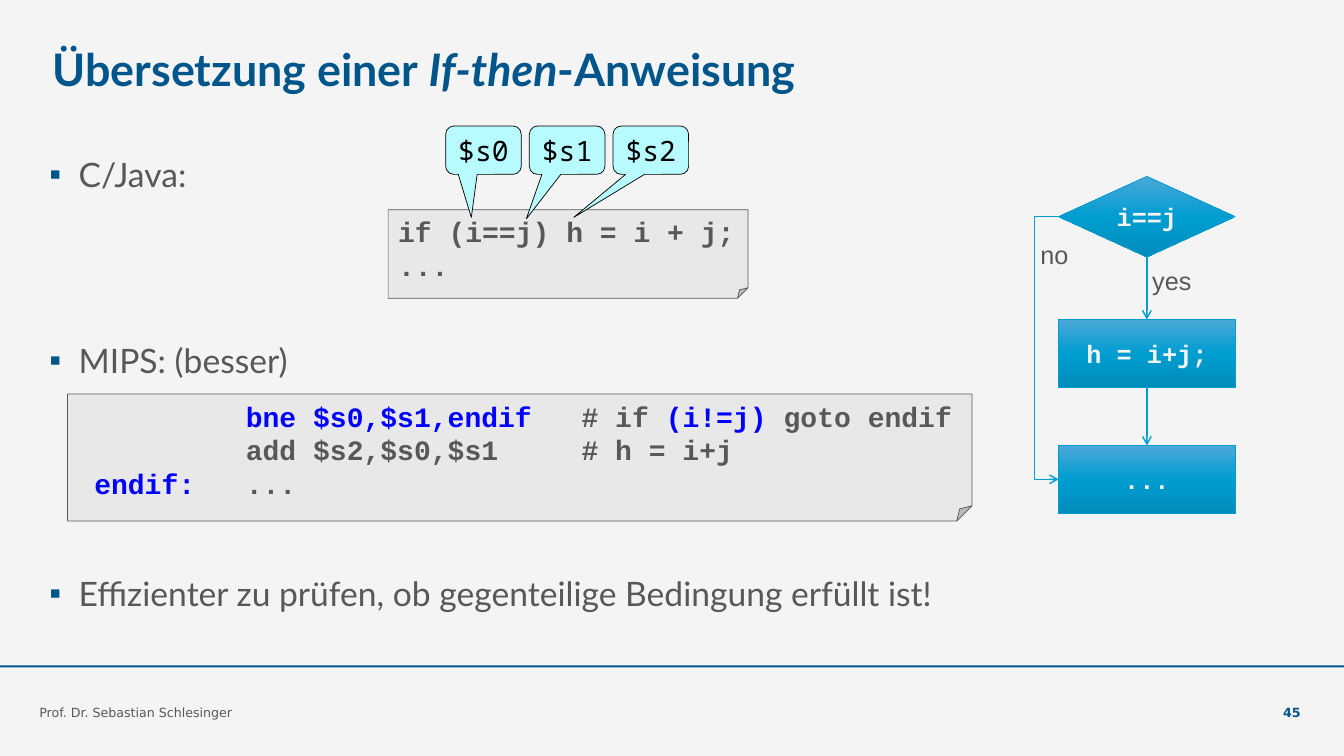
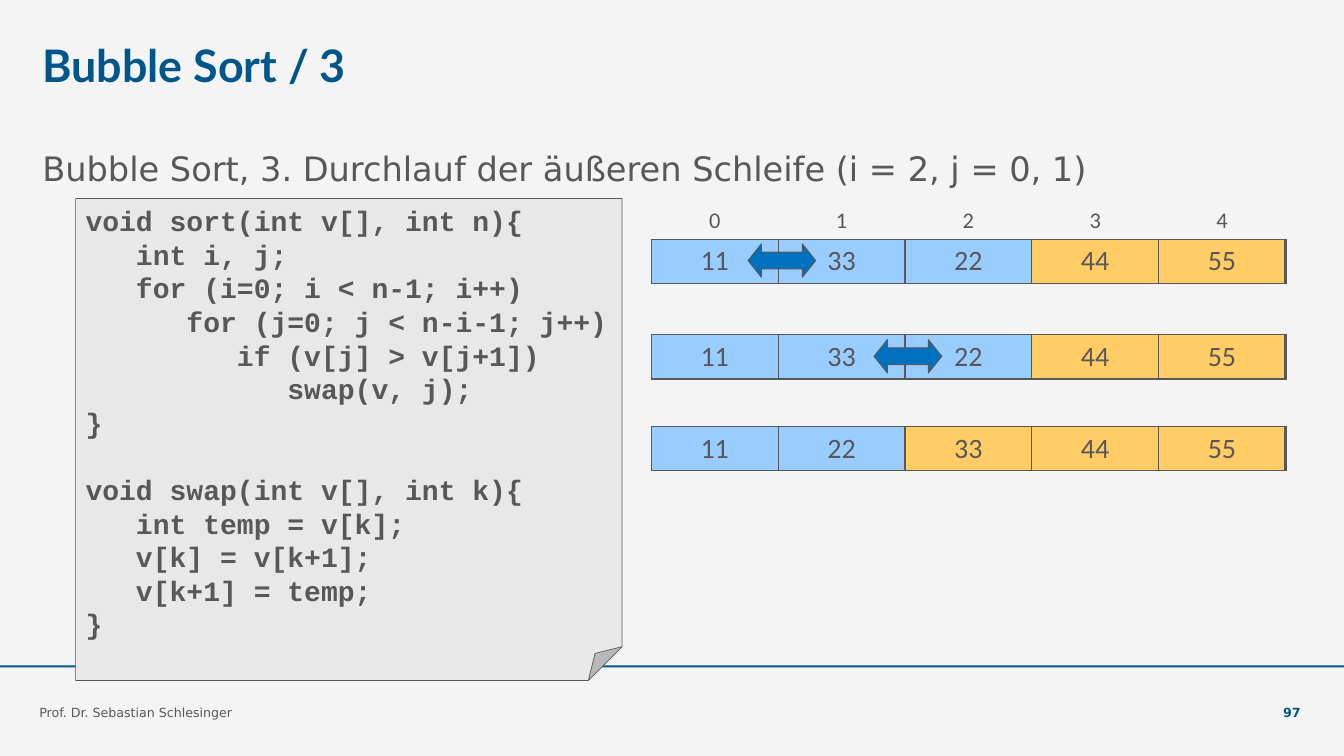
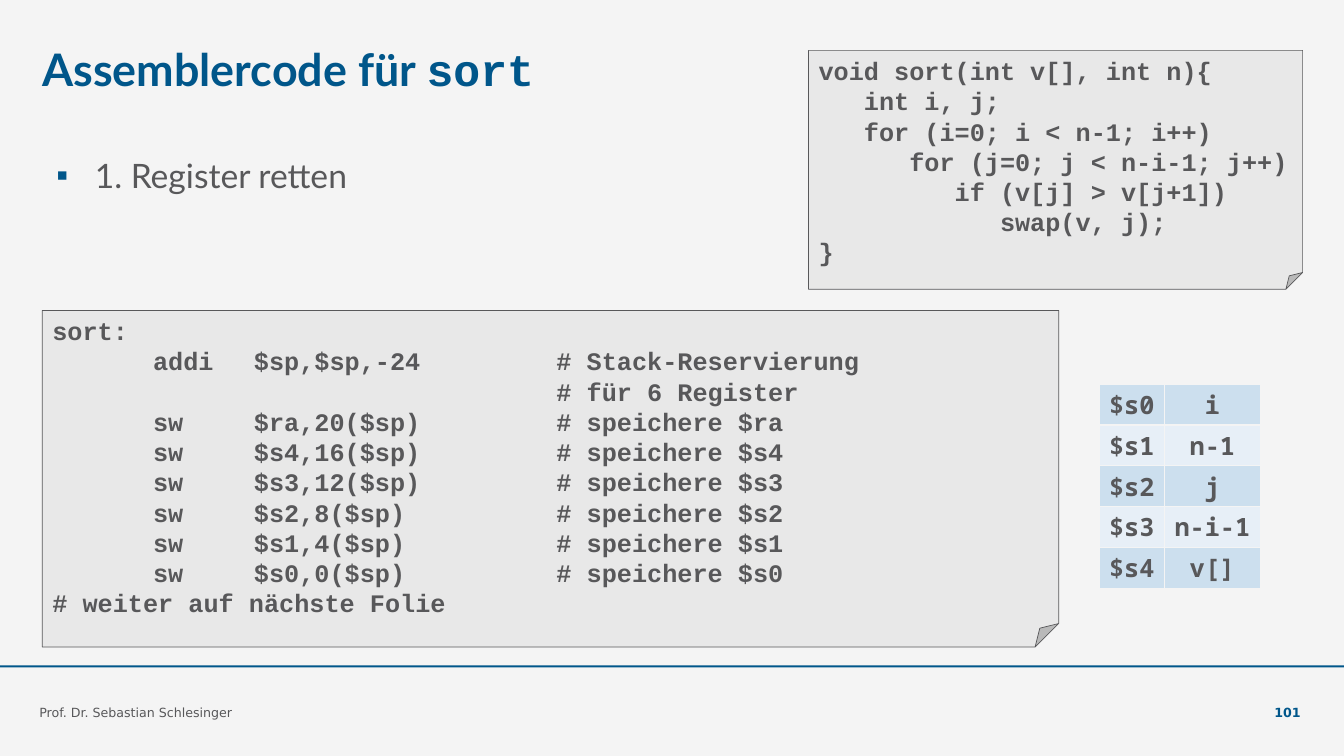
"""Builds three lecture slides on MIPS control flow and sorting."""
from copy import deepcopy

from lxml import etree
from pptx import Presentation
from pptx.dml.color import RGBColor
from pptx.enum.shapes import MSO_CONNECTOR, MSO_SHAPE
from pptx.enum.text import MSO_ANCHOR, MSO_AUTO_SIZE, PP_ALIGN
from pptx.oxml.ns import qn
from pptx.util import Inches, Pt

LEFT, CENTER, RIGHT = PP_ALIGN.LEFT, PP_ALIGN.CENTER, PP_ALIGN.RIGHT
TOP, MIDDLE, BOTTOM = MSO_ANCHOR.TOP, MSO_ANCHOR.MIDDLE, MSO_ANCHOR.BOTTOM
RECT, FOLDED = MSO_SHAPE.RECTANGLE, MSO_SHAPE.FOLDED_CORNER
DECISION, PROCESS = MSO_SHAPE.FLOWCHART_DECISION, MSO_SHAPE.FLOWCHART_PROCESS
CALLOUT, SWAP_ARROW = MSO_SHAPE.ROUNDED_RECTANGULAR_CALLOUT, MSO_SHAPE.LEFT_RIGHT_ARROW
STRAIGHT, NO_AUTOSIZE = MSO_CONNECTOR.STRAIGHT, MSO_AUTO_SIZE.NONE

NAVY, GREY, PAPER, PANEL = "00568A", "58585A", "F4F4F4", "E8E8E8"
CYAN, CODE_BLUE, BALLOON, ARROW_BLUE = "009DD1", "0000FF", "B7FBFF", "0070C0"
OPEN, SORTED = "99CCFF", "FFCC66"
STRIPES = ("CCDFEE", "E7EFF7")
GRADIENT = ((0, "4BA8D8"), (0.5, CYAN), (1, "008CBA"))
HEAD, SANS, MONO, CODE = "Lato", "DejaVu Sans", "Noto Sans Mono", "Courier New"
NO_STYLE = "{2D5ABB26-0587-4C30-8999-92F81FD0307C}"

AUTHOR = "Prof. Dr. Sebastian Schlesinger"
BLUE = {"color": CODE_BLUE}

IF_TITLE = ["Übersetzung einer ", ("If-then", {"italic": True}), "-Anweisung"]
IF_BULLETS = [
    ("C/Java:", 0),
    ("MIPS: (besser)", 3),
    ("Effizienter zu prüfen, ob gegenteilige Bedingung erfüllt ist!", 4),
]
IF_CODE = [["if (i==j) h = i + j;"], ["..."]]
MIPS_CODE = [
    ["\t", ("bne $s0,$s1,endif ", BLUE), "\t# if ", ("(i!=j) ", BLUE), "goto endif"],
    ["\tadd $s2,$s0,$s1\t# h = i+j"],
    [" ", ("endif:", BLUE), "\t..."],
]
CALLOUTS = [("$s0", -0.16, 1.39), ("$s1", -0.54, 1.42), ("$s2", -1.02, 1.39)]
NODES = [
    (DECISION, "i==j", 1.75, 0.8),
    (PROCESS, "h = i+j;", 3.17, 0.67),
    (PROCESS, "...", 4.42, 0.67),
]
BRANCH_LABELS = [("yes", 11.33, 2.58), ("no", 10.22, 2.33)]

SORT_CODE = [[line] for line in (
    "void sort(int v[], int n){",
    "   int i, j;",
    "   for (i=0; i < n-1; i++)",
    "      for (j=0; j < n-i-1; j++)",
    "         if (v[j] > v[j+1])",
    "            swap(v, j);",
    "}",
)]
SWAP_CODE = [[line] for line in (
    "void swap(int v[], int k){",
    "   int temp = v[k];",
    "   v[k] = v[k+1];",
    "   v[k+1] = temp;",
    "}",
)]
BUBBLE_INTRO = "Bubble Sort, 3. Durchlauf der äußeren Schleife (i = 2, j = 0, 1)"
PASSES = [
    (2.0, [11, 33, 22, 44, 55], 3),
    (3.32, [11, 33, 22, 44, 55], 3),
    (4.23, [11, 22, 33, 44, 55], 2),
]
SWAPS = [(7.42, 2.42), (8.67, 3.37)]

SAVED = [("$ra", 20), ("$s4", 16), ("$s3", 12), ("$s2", 8), ("$s1", 4), ("$s0", 0)]
SAVE_CODE = [
    ["sort:"],
    ["\taddi\t$sp,$sp,-24\t# Stack-Reservierung"],
    ["\t\t\t# für 6 Register"],
    *[[f"\tsw\t{reg},{offset}($sp)\t# speichere {reg}"] for reg, offset in SAVED],
    ["# weiter auf nächste Folie"],
]
REGISTERS = [("$s0", "i"), ("$s1", "n-1"), ("$s2", "j"), ("$s3", "n-i-1"), ("$s4", "v[]")]


def rgb(value):
    return RGBColor.from_string(value)


def write(p, runs, font, size, color=GREY, bold=False, align=LEFT):
    p.alignment = align
    for run in runs:
        text, extra = (run, {}) if isinstance(run, str) else run
        r = p.add_run()
        r.text = text
        r.font.name = extra.get("font", font)
        r.font.size = Pt(size)
        r.font.bold = bold
        r.font.italic = extra.get("italic", False)
        r.font.color.rgb = rgb(extra.get("color", color))


def frame(shape, anchor=TOP, inset=(0.1, 0.05)):
    tf = shape.text_frame
    tf.word_wrap = True
    tf.auto_size = NO_AUTOSIZE
    tf.vertical_anchor = anchor
    tf.margin_left = tf.margin_right = Inches(inset[0])
    tf.margin_top = tf.margin_bottom = Inches(inset[1])
    return tf


def place(shape, *box):
    shape.left, shape.top, shape.width, shape.height = map(Inches, box)


def add_text(s, box, text, font, size, anchor=TOP, inset=(0.1, 0.05), **style):
    tf = frame(s.shapes.add_textbox(*map(Inches, box)), anchor, inset)
    write(tf.paragraphs[0], [text], font, size, **style)


def set_adjustments(sp, values):
    guides = sp._element.spPr.find(qn("a:prstGeom")).find(qn("a:avLst"))
    for guide in list(guides):
        guides.remove(guide)
    for i, value in enumerate(values, 1):
        name = f"adj{i}" if len(values) > 1 else "adj"
        etree.SubElement(guides, qn("a:gd"), name=name, fmla=f"val {round(value * 100000)}")


def add_shape(s, kind, box, fill, line=None, width=0.5, adjust=()):
    sp = s.shapes.add_shape(kind, *map(Inches, box))
    sp.shadow.inherit = False
    if adjust:
        set_adjustments(sp, adjust)
    if isinstance(fill, str):
        sp.fill.solid()
        sp.fill.fore_color.rgb = rgb(fill)
    else:
        sp.fill.gradient()
        sp.fill.gradient_angle = 270
        stops = sp._element.spPr.find(qn("a:gradFill")).find(qn("a:gsLst"))
        stops.append(deepcopy(stops[0]))
        for stop, (position, color) in zip(sp.fill.gradient_stops, fill):
            stop.position = position
            stop.color.rgb = rgb(color)
    if line:
        sp.line.color.rgb = rgb(line)
        sp.line.width = Pt(width)
    else:
        sp.line.fill.background()
    return sp


def arrow_line(shape):
    shape.line.color.rgb = rgb(CYAN)
    shape.line.width = Pt(1)
    etree.SubElement(shape.line._get_or_add_ln(), qn("a:tailEnd"), type="arrow")


def add_code(s, box, blocks, size, fold, tabs=()):
    sp = add_shape(s, FOLDED, box, PANEL, GREY, adjust=[fold])
    tf = frame(sp)
    pitch = Pt(size * 1.2)
    p = tf.paragraphs[0]
    for b, block in enumerate(blocks):
        for i, line in enumerate(block):
            if b or i:
                p = tf.add_paragraph()
            if tabs:
                tab_list = etree.SubElement(p._p.get_or_add_pPr(), qn("a:tabLst"))
                for pos in tabs:
                    etree.SubElement(tab_list, qn("a:tab"), pos=str(Inches(pos)), algn="l")
            p.line_spacing = pitch
            p.space_before = pitch if b and not i else Pt(0)
            write(p, line, CODE, size, bold=True)


def set_bullet(p, indent):
    pPr = p._p.get_or_add_pPr()
    pPr.set("marL", str(Inches(indent)))
    pPr.set("indent", str(-Inches(indent)))
    if indent:
        color = etree.SubElement(pPr, qn("a:buClr"))
        etree.SubElement(color, qn("a:srgbClr"), val=NAVY)
        etree.SubElement(pPr, qn("a:buChar"), char="▪")
    else:
        etree.SubElement(pPr, qn("a:buNone"))


def fill_body(s, box, items, indent, spacing, inset=(0, 0), font=HEAD):
    body = s.placeholders[1]
    place(body, *box)
    tf = frame(body, TOP, inset)
    line = 24 * 1.2 * spacing + 2.2
    for i, (text, skipped) in enumerate(items):
        p = tf.add_paragraph() if i else tf.paragraphs[0]
        set_bullet(p, indent)
        p.line_spacing = spacing
        p.space_before = Pt(round(2.2 + skipped * line, 1) if i else 0)
        write(p, [text], font, 24)


def add_table(s, box, rows, widths, heights):
    shape = s.shapes.add_table(len(rows), len(widths), *map(Inches, box))
    table = shape.table
    table.first_row = table.horz_banding = False
    table._tbl.tblPr.find(qn("a:tableStyleId")).text = NO_STYLE
    for column, width in zip(table.columns, widths):
        column.width = Inches(width)
    for row, height in zip(table.rows, heights):
        row.height = Inches(height)
    return table


def fill_cell(cell, text, font, size, fill, borders, bold=False, margin=0.05):
    tcPr = cell._tc.get_or_add_tcPr()
    for side, (color, width) in borders.items():
        ln = etree.SubElement(tcPr, qn(f"a:ln{side}"), w=str(Pt(width)))
        solid = etree.SubElement(ln, qn("a:solidFill"))
        etree.SubElement(solid, qn("a:srgbClr"), val=color)
    if fill:
        cell.fill.solid()
        cell.fill.fore_color.rgb = rgb(fill)
    else:
        cell.fill.background()
    cell.vertical_anchor = MIDDLE
    cell.margin_left = cell.margin_right = Inches(0.05)
    cell.margin_top = cell.margin_bottom = Inches(margin)
    write(cell.text_frame.paragraphs[0], [text], font, size, bold=bold, align=CENTER)


def add_slide(prs, title, number, anchor=MIDDLE, inset=(0, 0)):
    s = prs.slides.add_slide(prs.slide_layouts[1])
    add_shape(s, RECT, (0, 6.6, 13.33, 0.02), NAVY)
    place(s.shapes.title, 0.42, 0.37, 8.33, 0.63)
    tf = frame(s.shapes.title, anchor, inset)
    write(tf.paragraphs[0], title, HEAD, 32, NAVY, bold=True)
    add_text(s, (0.39, 6.75, 9.2, 0.39), AUTHOR, SANS, 9, BOTTOM, (0, 0))
    add_text(s, (12.03, 6.75, 0.87, 0.39), str(number), SANS, 9, BOTTOM, (0, 0),
             color=NAVY, bold=True, align=RIGHT)
    return s


def add_flowchart(s):
    left, width = 10.5, 1.75
    middle = left + width / 2
    for kind, text, top, height in NODES:
        sp = add_shape(s, kind, (left, top, width, height), GRADIENT, CYAN)
        tf = frame(sp, MIDDLE, (0, 0.05))
        write(tf.paragraphs[0], [text], CODE, 18, PAPER, bold=True, align=CENTER)
    for (_, _, top, height), (_, _, next_top, _) in zip(NODES, NODES[1:]):
        line = s.shapes.add_connector(STRAIGHT, Inches(middle), Inches(top + height),
                                      Inches(middle), Inches(next_top))
        arrow_line(line)
        etree.SubElement(line._element.spPr, qn("a:effectLst"))
    start, end = [top + height / 2 for _, _, top, height in (NODES[0], NODES[-1])]
    bend = left - 0.24
    outline = s.shapes.build_freeform(Inches(left), Inches(start))
    outline.add_line_segments(
        [(Inches(x), Inches(y)) for x, y in ((bend, start), (bend, end), (left, end))],
        close=False)
    detour = outline.convert_to_shape()
    detour.shadow.inherit = False
    detour.fill.background()
    arrow_line(detour)
    for text, x, y in BRANCH_LABELS:
        add_text(s, (x, y, 0.8, 0.4), text, "Arial", 18)


def build_if_then(prs):
    s = add_slide(prs, IF_TITLE, 45, inset=(0.1, 0.05))
    fill_body(s, (0.39, 1.44, 12.55, 4.84), IF_BULLETS, 0.29, 1.08, (0.1, 0.05))
    add_flowchart(s)
    add_code(s, (3.85, 2.08, 3.57, 0.88), [IF_CODE], 20, 0.12)
    add_code(s, (0.67, 3.91, 8.97, 1.26), [MIPS_CODE], 20, 0.12, (1.67, 5))
    for i, (text, dx, dy) in enumerate(CALLOUTS):
        sp = add_shape(s, CALLOUT, (4.42 + i * 0.83, 1.25, 0.75, 0.48), BALLOON,
                       "000000", adjust=(dx, dy, 0.17))
        tf = frame(sp, MIDDLE, (0.05, 0.05))
        write(tf.paragraphs[0], [text], MONO, 20, "000000", align=CENTER)


def build_bubble_sort(prs):
    s = add_slide(prs, ["Bubble Sort / 3"], 97, TOP)
    fill_body(s, (0.42, 1.44, 11.25, 0.56), [(BUBBLE_INTRO, 0)], 0, 1.08, font=SANS)
    thin, thick = (GREY, 1), (GREY, 2.25)
    for n, (top, values, first_sorted) in enumerate(PASSES):
        rows = [values] if n else [range(len(values)), values]
        heights = [0.43] if n else [0.37, 0.43]
        widths = [6.29 / len(values)] * len(values)
        table = add_table(s, (6.46, top, 6.29, sum(heights)), rows, widths, heights)
        for col, value in enumerate(values):
            last = col == len(values) - 1
            if not n:
                fill_cell(table.cell(0, col), str(col), "Calibri", 16, None, {"B": thin})
            borders = {"L": thin, "R": thick if last else thin, "T": thin, "B": thin}
            fill_cell(table.cell(len(rows) - 1, col), str(value), "Calibri", 20,
                      SORTED if col >= first_sorted else OPEN, borders)
    for x, y in SWAPS:
        add_shape(s, SWAP_ARROW, (x, y, 0.67, 0.33), ARROW_BLUE, GREY, 0.75, (0.5, 0.4))
    add_code(s, (0.75, 1.97, 5.42, 4.78), [SORT_CODE, SWAP_CODE], 20, 0.07)


def build_assembler(prs):
    s = add_slide(prs, ["Assemblercode für ", ("sort", {"font": CODE})], 101)
    fill_body(s, (0.56, 1.58, 12.55, 4.86), [("1. Register retten", 0)], 0.38, 0.9)
    add_code(s, (0.42, 3.08, 10.08, 3.34), [SAVE_CODE], 18, 0.07, (1, 2, 5))
    add_code(s, (8.02, 0.5, 4.9, 2.37), [SORT_CODE], 18, 0.07)
    table = add_table(s, (10.9, 3.81, 1.6, 2.03), REGISTERS, (0.65, 0.95),
                      [2.03 / len(REGISTERS)] * len(REGISTERS))
    borders = {side: (PAPER, 1) for side in "LRTB"}
    for i, row in enumerate(REGISTERS):
        for j, text in enumerate(row):
            fill_cell(table.cell(i, j), text, MONO, 18, STRIPES[i % 2], borders,
                      bold=True, margin=0.03)


def main():
    prs = Presentation()
    prs.slide_width, prs.slide_height = Inches(13.33), Inches(7.5)
    background = prs.slide_master.background.fill
    background.solid()
    background.fore_color.rgb = rgb(PAPER)
    build_if_then(prs)
    build_bubble_sort(prs)
    build_assembler(prs)
    prs.save("out.pptx")


if __name__ == "__main__":
    main()
